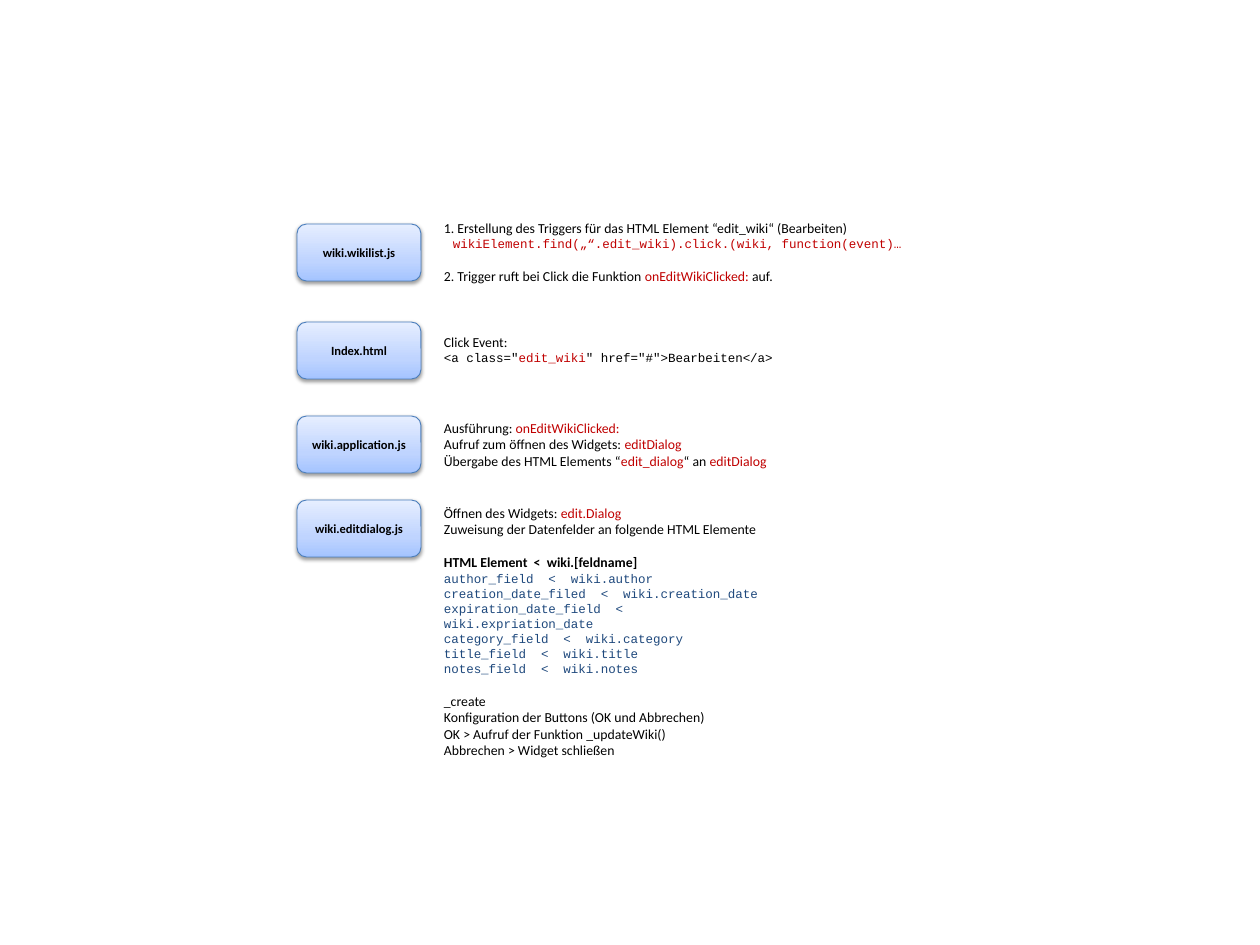
from copy import deepcopy

from lxml import etree
from pptx import Presentation
from pptx import util as u
from pptx.dml.color import RGBColor
from pptx.enum import shapes, text
from pptx.oxml.ns import qn

PX = 10160  # EMU per pixel at 90 px per inch
BLACK, RED, NAVY = "000000", "C00000", "1F497D"
GRADIENT = [(0, "A4C4FF"), (0.35, "BFD4FF"), (1, "E6EEFF")]
BOX_LEFT, BOX_W, BOX_H, NOTE_LEFT = 297, 124, 57, 435
BLANK_LINE = 13.4  # points, one line at 11 pt

BODY = dict(font="Calibri", size=11)
CODE = dict(font="Courier New", size=10)


def px(*lengths):
    """Turn pixels into EMU."""
    return [u.Emu(n * PX) for n in lengths]


def rgb(hex_color):
    """Turn a hex string into a colour."""
    return RGBColor.from_string(hex_color)


def add_run(p, words, font="Calibri", size=11, color=BLACK, bold=False):
    """Append a formatted run to a paragraph."""
    r = p.add_run()
    r.text = words
    r.font.name, r.font.size, r.font.bold = font, u.Pt(size), bold
    r.font.color.rgb = rgb(color)


def line(*parts, style=BODY, gap=False, indent=0, **fmt):
    """Describe a paragraph; parts are strings or (string, colour) pairs."""
    runs = [(part, {}) if isinstance(part, str) else (part[0], {"color": part[1]})
            for part in parts]
    return [(words, {**style, **fmt, **extra}) for words, extra in runs], gap, indent


def add_gradient(sp):
    """Fill a shape with the three-stop gradient, running upwards."""
    sp.fill.gradient()
    sp.fill.gradient_angle = 90
    stops = sp._element.spPr.find(qn("a:gradFill")).find(qn("a:gsLst"))
    stops.append(deepcopy(stops[-1]))
    for stop, (position, color) in zip(sp.fill.gradient_stops, GRADIENT):
        stop.position = position
        stop.color.rgb = rgb(color)


def add_shadow(sp):
    """Give a shape a soft shadow below it."""
    sp.shadow.inherit = False
    effects = sp._element.spPr.find(qn("a:effectLst"))
    shadow = etree.SubElement(effects, qn("a:outerShdw"), blurRad="40000",
                              dist="20000", dir="5400000", rotWithShape="0")
    color = etree.SubElement(shadow, qn("a:srgbClr"), val=BLACK)
    etree.SubElement(color, qn("a:alpha"), val="38000")


def add_file_box(s, top, name):
    """Draw the rounded box that names a file."""
    sp = s.shapes.add_shape(shapes.MSO_SHAPE.ROUNDED_RECTANGLE,
                            *px(BOX_LEFT, top, BOX_W, BOX_H))
    add_gradient(sp)
    sp.line.color.rgb = rgb("4B7EBC")
    sp.line.width = u.Pt(0.75)
    add_shadow(sp)
    tf = sp.text_frame
    tf.word_wrap = True
    tf.vertical_anchor = text.MSO_ANCHOR.MIDDLE
    p = tf.paragraphs[0]
    p.alignment = text.PP_ALIGN.CENTER
    add_run(p, name, size=10, bold=True)


def add_note(s, top, width, height, lines):
    """Write the explanation beside a file box."""
    tf = s.shapes.add_textbox(*px(NOTE_LEFT, top, width, height)).text_frame
    tf.word_wrap = True
    tf.auto_size = text.MSO_AUTO_SIZE.SHAPE_TO_FIT_TEXT
    for i, (runs, gap, indent) in enumerate(lines):
        p = tf.add_paragraph() if i else tf.paragraphs[0]
        if gap:
            p.space_before = u.Pt(BLANK_LINE)
        if indent:
            p._p.get_or_add_pPr().set("marL", str(indent * PX))
        for words, fmt in runs:
            add_run(p, words, **fmt)


def main():
    """Build the slide."""
    prs = Presentation()
    prs.slide_width, prs.slide_height = px(1260, 945)
    s = prs.slides.add_slide(prs.slide_layouts[6])

    fields = ["author_field  <  wiki.author",
              "creation_date_filed  <  wiki.creation_date",
              "expiration_date_field  <  wiki.expriation_date",
              "category_field  <  wiki.category",
              "title_field  <  wiki.title",
              "notes_field  <  wiki.notes"]

    steps = [
        ("wiki.wikilist.js", 224, (215, 485, 76), [
            line("1. Erstellung des Triggers für das HTML Element “edit_wiki“ (Bearbeiten)"),
            line("wikiElement.find(„“.edit_wiki).click.(wiki, function(event)…",
                 style=CODE, color=RED, indent=9),
            line("2. Trigger ruft bei Click die Funktion ",
                 ("onEditWikiClicked: ", RED), "auf.", gap=True)]),
        ("Index.html", 322, (329, 373, 41), [
            line("Click Event:"),
            line('<a class="', ("edit_wiki", RED), '" href="#">Bearbeiten</a>',
                 style=CODE)]),
        ("wiki.application.js", 416, (415, 347, 59), [
            line("Ausführung: ", ("onEditWikiClicked:", RED)),
            line("Aufruf zum öffnen des Widgets: ", ("editDialog", RED)),
            line("Übergabe des HTML Elements “", ("edit_dialog", RED),
                 "“ an ", ("editDialog", RED))]),
        ("wiki.editdialog.js", 500, (500, 347, 266), [
            line("Öffnen des Widgets: ", ("edit.Dialog", RED)),
            line("Zuweisung der Datenfelder an folgende HTML Elemente"),
            line("HTML Element  <  wiki.[feldname]", bold=True, gap=True),
            *[line(field, style=CODE, color=NAVY) for field in fields],
            line("_create", gap=True),
            line("Konfiguration der Buttons (OK und Abbrechen)"),
            line("OK > Aufruf der Funktion _updateWiki()"),
            line("Abbrechen > Widget schließen")]),
    ]
    for name, box_top, note_place, lines in steps:
        add_file_box(s, box_top, name)
        add_note(s, *note_place, lines)

    prs.save("out.pptx")


main()
